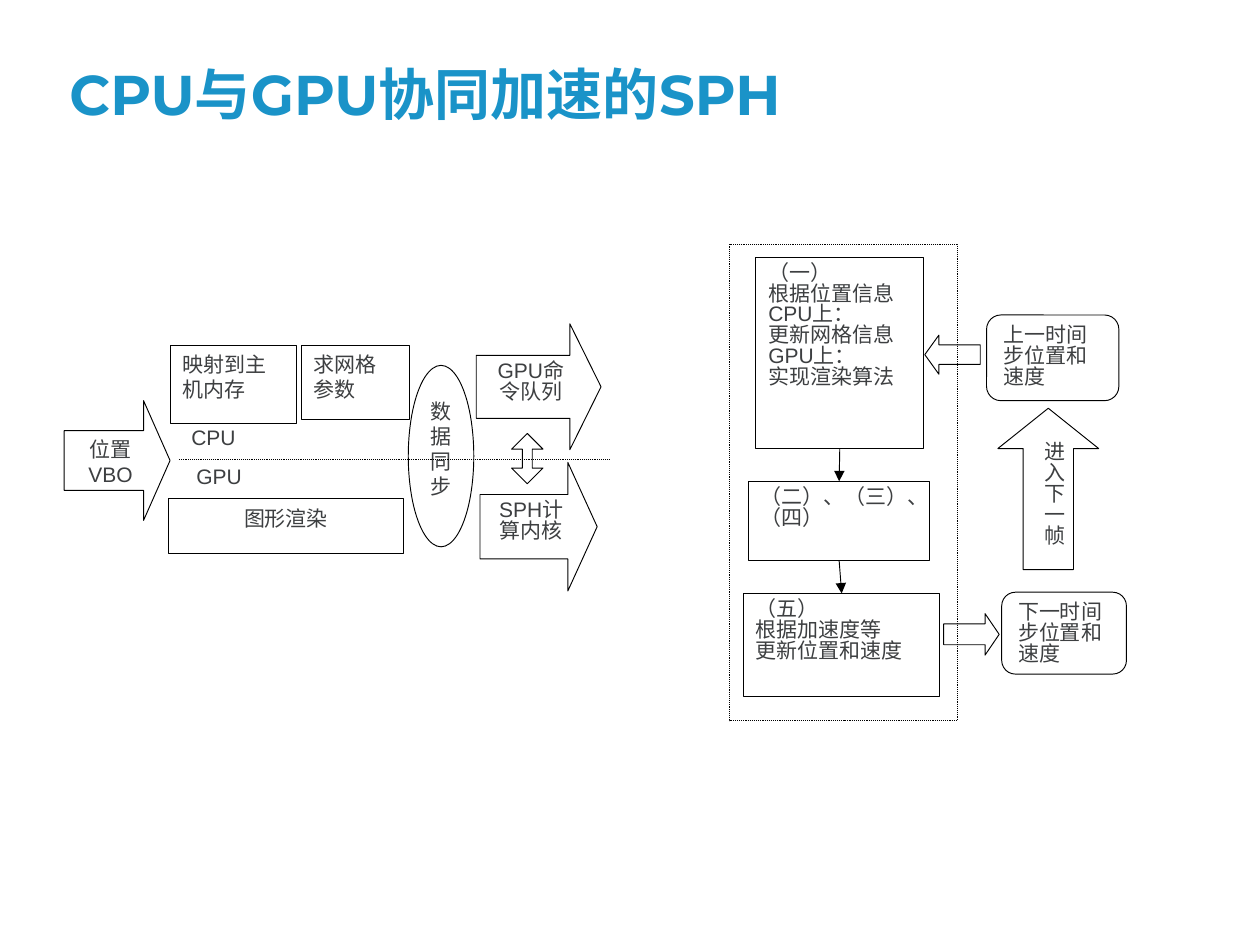
from dataclasses import dataclass
from lxml import etree
from pptx import Presentation
from pptx import util as u
from pptx.dml.color import RGBColor
from pptx.enum import dml, shapes, text
from pptx.oxml.ns import qn


@dataclass(frozen=True)
class Theme:
    title: RGBColor = RGBColor(0x1A, 0x93, 0xC8)
    ink: RGBColor = RGBColor(0x3D, 0x3F, 0x41)
    line: RGBColor = RGBColor(0, 0, 0)
    title_font: str = "Montserrat"
    body_font: str = "Arial"
    title_size: int = 32
    body_size: int = 12
    line_width: float = 0.54


T = Theme()
S = shapes.MSO_SHAPE
CENTER, LEFT = text.PP_ALIGN.CENTER, text.PP_ALIGN.LEFT
TIGHT = u.Pt(12)
COLS, ROWS = 100, 75

TITLE = ("CPU与GPU协同加速的SPH", (4.5, 2.9, 90.7, 7.7))

# name: (preset, (column, row, columns, rows), paragraphs, options)
SHAPES = {
    "position_vbo": (S.RIGHT_ARROW, (5.1, 31.8, 8.4, 9.5), ["位置VBO"],
                     dict(adj=(0.5, 0.25), align=CENTER)),
    "map_memory": (S.FLOWCHART_PROCESS, (13.5, 27.4, 10, 6.2), ["映射到主机内存"], {}),
    "grid_params": (S.FLOWCHART_PROCESS, (23.9, 27.4, 8.6, 5.9), ["求网格参数"], {}),
    "render": (S.FLOWCHART_PROCESS, (13.4, 39.6, 18.6, 4.3), ["图形渲染"], dict(align=CENTER)),
    "sph_kernel": (S.RIGHT_ARROW, (38.1, 36.7, 9.3, 10.2), ["SPH计算内核"],
                   dict(adj=(0.5, 0.25), align=CENTER, spacing=TIGHT)),
    "gpu_queue": (S.RIGHT_ARROW, (37.8, 25.7, 9.9, 10), ["GPU命令队列"],
                  dict(adj=(0.5, 0.25), align=CENTER, spacing=TIGHT)),
    "exchange": (S.UP_DOWN_ARROW, (40.6, 34.4, 2.5, 4), [], dict(adj=(0.5, 0.315))),
    "sync": (S.OVAL, (32.4, 29, 5.2, 14.4), ["数据同步"], {}),
    "frame": (S.RECTANGLE, (57.9, 19.4, 18.1, 37.8), [], dict(dotted=True)),
    "step_1": (S.RECTANGLE, (60, 20.4, 13.3, 15.2),
               ["（一）", "根据位置信息", "CPU上：", "更新网格信息", "GPU上：", "实现渲染算法"],
               dict(spacing=TIGHT)),
    "steps_2_4": (S.RECTANGLE, (59.4, 38.2, 14.4, 6.3), ["（二）、（三）、（四）"],
                  dict(spacing=TIGHT)),
    "step_5": (S.RECTANGLE, (59, 47.1, 15.6, 8.2),
               ["（五）", "根据加速度等", "更新位置和速度"], dict(spacing=TIGHT)),
    "previous_state": (S.FLOWCHART_ALTERNATE_PROCESS, (78.3, 25, 10.5, 6.8),
                       ["上一时间步位置和速度"], dict(spacing=TIGHT)),
    "next_state": (S.FLOWCHART_ALTERNATE_PROCESS, (79.5, 47, 9.9, 6.5),
                   ["下一时间步位置和速度"], dict(spacing=TIGHT)),
    "input": (S.LEFT_ARROW, (73.4, 26.6, 4.4, 3.1), [], dict(adj=(0.5, 0.36))),
    "output": (S.RIGHT_ARROW, (74.9, 48.7, 4.4, 3.3), [], dict(adj=(0.5, 0.34))),
    "next_frame": (S.UP_ARROW, (79.2, 32.4, 8, 12.8), ["进入下一帧"],
                   dict(adj=(0.5, 0.4), align=CENTER, vertical=True)),
}
LABELS = [("CPU", (14.2, 33.2, 8.4, 4.2)), ("GPU", (14.6, 36.3, 8.4, 4.2))]
DIVIDER = (14.2, 36.5, 48.4, 36.5)
FLOW = [("step_1", "steps_2_4"), ("steps_2_4", "step_5")]

prs = Presentation()
prs.slide_width, prs.slide_height = u.Inches(10), u.Inches(7.5)
s = prs.slides.add_slide(prs.slide_layouts[5])


def place(box):
    x, y, w, h = box
    cx, cy = prs.slide_width / COLS, prs.slide_height / ROWS
    return [u.Emu(round(v)) for v in (x * cx, y * cy, w * cx, h * cy)]


def assign(obj, **values):
    for name, value in values.items():
        setattr(obj, name, value)


def write(tf, paragraphs, size, color, align=LEFT, spacing=None,
          anchor=text.MSO_ANCHOR.TOP, vertical=False, **font):
    mx, my = (0.05, 0.1) if vertical else (0.1, 0.05)
    assign(tf, word_wrap=True, auto_size=text.MSO_AUTO_SIZE.NONE, vertical_anchor=anchor,
           margin_left=u.Inches(mx), margin_right=u.Inches(mx),
           margin_top=u.Inches(my), margin_bottom=u.Inches(my))
    if vertical:
        tf._txBody.bodyPr.set("vert", "eaVert")
    for i, line in enumerate(paragraphs):
        p = tf.add_paragraph() if i else tf.paragraphs[0]
        assign(p, alignment=align, line_spacing=spacing)
        r = p.add_run()
        r.text = line
        assign(r.font, size=u.Pt(size), **font)
        r.font.color.rgb = color


def body(tf, paragraphs, **options):
    write(tf, paragraphs, T.body_size, T.ink, name=T.body_font, **options)


def outline(sp, dotted=False):
    sp.line.color.rgb = T.line
    sp.line.width = u.Pt(T.line_width)
    if dotted:
        sp.line.dash_style = dml.MSO_LINE.ROUND_DOT


def draw(preset, box, paragraphs, adj=(), dotted=False, **options):
    sp = s.shapes.add_shape(preset, *place(box))
    sp.shadow.inherit = False
    sp.fill.background()
    outline(sp, dotted)
    for i, value in enumerate(adj):
        sp.adjustments[i] = value
    if paragraphs:
        body(sp.text_frame, paragraphs, **options)
    return sp


def connect(ends=(0, 0, 0, 0), dotted=False, arrow=False):
    c = s.shapes.add_connector(shapes.MSO_CONNECTOR.STRAIGHT, *place(ends))
    outline(c, dotted)
    if arrow:
        etree.SubElement(c.line._get_or_add_ln(), qn("a:tailEnd"), type="triangle")
    etree.SubElement(c._element.spPr, qn("a:effectLst"))
    return c


title, title_box = TITLE
sp = s.shapes.title
assign(sp, **dict(zip(("left", "top", "width", "height"), place(title_box))))
write(sp.text_frame, [title], T.title_size, T.title, spacing=0.9,
      anchor=text.MSO_ANCHOR.BOTTOM, name=T.title_font, bold=True)

nodes = {name: draw(preset, box, lines, **options)
         for name, (preset, box, lines, options) in SHAPES.items()}

for label, box in LABELS:
    body(s.shapes.add_textbox(*place(box)).text_frame, [label])

connect(DIVIDER, dotted=True)
for start, end in FLOW:
    c = connect(arrow=True)
    c.begin_connect(nodes[start], 2)
    c.end_connect(nodes[end], 0)

prs.save("out.pptx")
